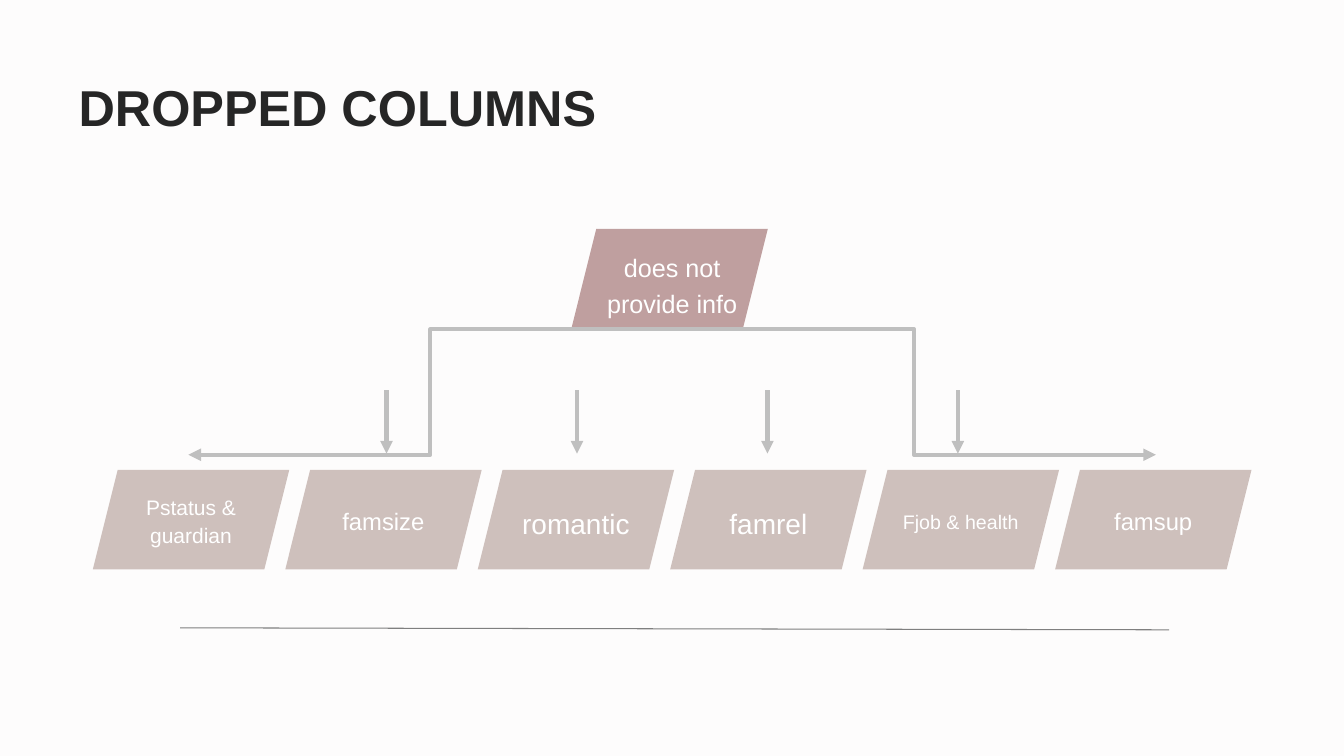
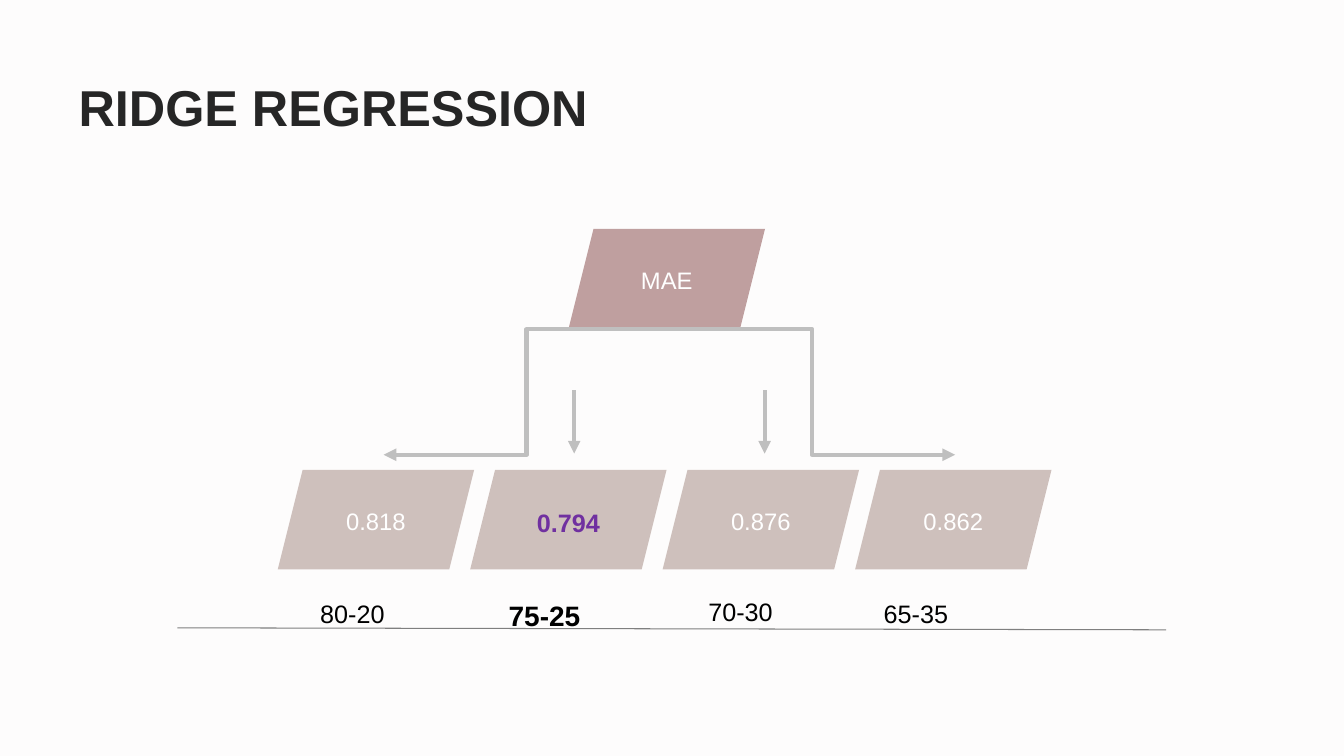
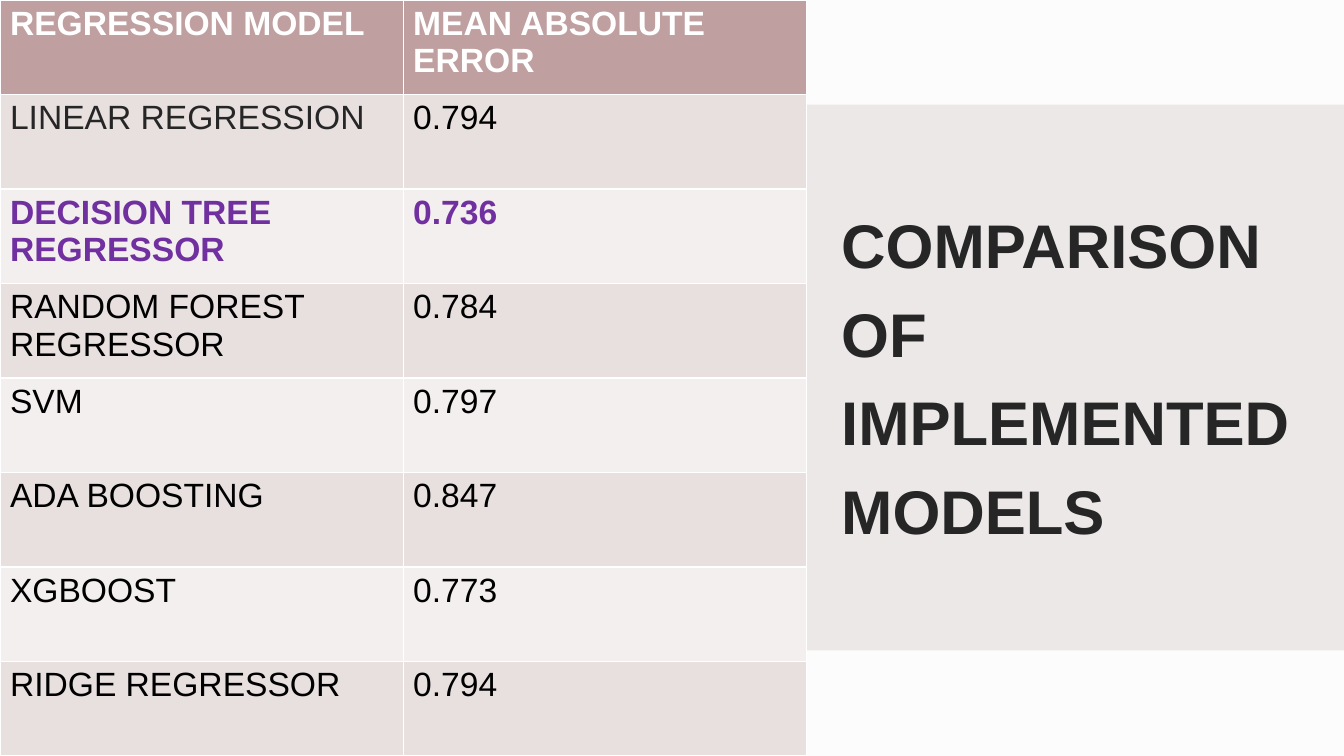
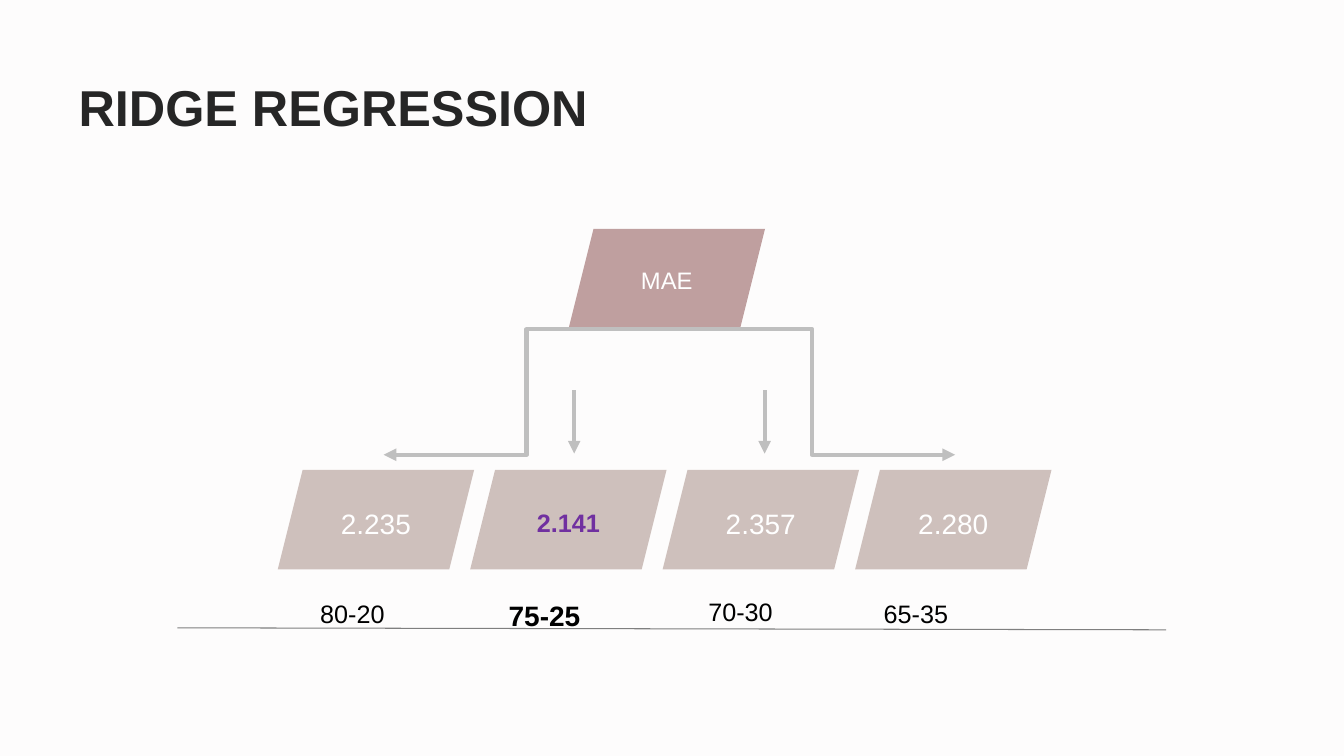
from lxml import etree
from pptx import Presentation
from pptx.dml.color import RGBColor
from pptx.enum import shapes, text
from pptx.oxml import ns
from pptx.util import Cm, Pt

rgb = RGBColor.from_string

BACKGROUND, DARK, BLACK, WHITE = "FDFCFC", "262626", "000000", "FFFFFF"
ROSE, CLAY, PANEL = "BF9F9F", "CEC0BC", "ECE8E8"
ROW_FILLS = "E8DFDF", "F4EFEF"
ARROW, RULE, BEST = "BFBFBF", "7F7F7F", "7030A0"

BOX_W, BOX_H, BOX_PITCH = 4.95, 2.51, 4.85
HUB_Y, BOX_Y = 5.77, 11.84
ARROW_PITCH = 4.8


def write(frame, words, size, color, bold=False, spacing=None, align=None):
    frame.word_wrap = True
    paragraph = frame.paragraphs[0]
    paragraph.alignment = align
    paragraph.line_spacing = spacing
    run = paragraph.add_run()
    run.text = words
    run.font.name = "Arial"
    run.font.size = Pt(size)
    run.font.bold = bold
    run.font.color.rgb = rgb(color)


def connect(slide, kind, start, end, color, width, arrow=True):
    """Draw a shadowless connector between two points in centimetres."""
    link = slide.shapes.add_connector(kind, *map(Cm, start + end))
    link.line.color.rgb = rgb(color)
    link.line.width = Pt(width)
    properties = link.element.spPr
    if arrow:
        outline = properties.find(ns.qn("a:ln"))
        etree.SubElement(outline, ns.qn("a:tailEnd"), type="triangle")
    etree.SubElement(properties, ns.qn("a:effectLst"))


prs = Presentation()
prs.slide_width, prs.slide_height = Cm(33.87), Cm(19.05)
master_fill = prs.slide_master.background.fill
master_fill.solid()
master_fill.fore_color.rgb = rgb(BACKGROUND)
dropped, first_ridge, comparison, second_ridge = [
    prs.slides.add_slide(prs.slide_layouts[6]) for _ in range(4)]

# Tree diagrams: each box is words, size, line spacing, colour, bold
dropped_boxes = [
    ("Pstatus & guardian", 15, 1.1, WHITE, False),
    ("famsize", 17, 1.1, WHITE, False),
    ("romantic", 20, 1.2, WHITE, False),
    ("famrel", 20, 1.2, WHITE, False),
    ("Fjob & health", 14, 1.2, WHITE, False),
    ("famsup", 17, 1.1, WHITE, False),
]
first_errors = [
    ("0.818", 17, 1.1, WHITE, False),
    ("0.794", 18, 1.2, BEST, True),
    ("0.876", 17, 1.1, WHITE, False),
    ("0.862", 17, 1.1, WHITE, False),
]
second_errors = [
    ("2.235", 20, 1.2, WHITE, False),
    ("2.141", 18, 1.2, BEST, True),
    ("2.357", 20, 1.2, WHITE, False),
    ("2.280", 20, 1.2, WHITE, False),
]
info_hub = ("does not provide info", 18, 1.2, WHITE, False)
error_hub = ("MAE", 17, 1.1, WHITE, False)

# Slide, title, hub, hub centre, left of first box, reach of bent arrows, boxes
trees = [
    (dropped, "DROPPED COLUMNS", info_hub, 16.94, 2.34, 12.19, dropped_boxes),
    (first_ridge, "RIDGE REGRESSION", error_hub, 16.87, 7.0, 7.2, first_errors),
    (second_ridge, "RIDGE REGRESSION", error_hub, 16.87, 7.0, 7.2, second_errors),
]
for slide, heading, hub, middle, first_left, reach, boxes in trees:
    title = slide.shapes.add_textbox(Cm(1.7), Cm(1.7), Cm(30.48), Cm(1.96)).text_frame
    title.margin_left, title.margin_right = Cm(0.28), Cm(0.2)
    title.margin_top = title.margin_bottom = Cm(0.1)
    title.vertical_anchor = text.MSO_ANCHOR.MIDDLE
    write(title, heading, 36, DARK, bold=True)

    connect(slide, shapes.MSO_CONNECTOR.STRAIGHT, (middle - 12.4, 15.82),
            (middle + 12.52, 15.87), RULE, 0.75, arrow=False)

    nodes = [(middle - 2.54, HUB_Y, ROSE, hub)]
    nodes += [(first_left + i * BOX_PITCH, BOX_Y, CLAY, box)
              for i, box in enumerate(boxes)]
    for left, top, fill, (words, size, spacing, color, bold) in nodes:
        node = slide.shapes.add_shape(shapes.MSO_SHAPE.PARALLELOGRAM, Cm(left),
                                      Cm(top), Cm(BOX_W), Cm(BOX_H))
        node.shadow.inherit = False
        node.fill.solid()
        node.fill.fore_color.rgb = rgb(fill)
        node.line.fill.background()
        frame = node.text_frame
        frame.margin_left = frame.margin_right = 0
        frame.margin_top = frame.margin_bottom = 0
        if hub is info_hub and top == HUB_Y:
            frame.margin_left, frame.margin_top = Cm(0.13), Cm(0.2)
        frame.vertical_anchor = text.MSO_ANCHOR.MIDDLE
        write(frame, words, size, color, bold, spacing, text.PP_ALIGN.CENTER)

    for end in (middle + reach, middle - reach):
        connect(slide, shapes.MSO_CONNECTOR.ELBOW, (middle, 8.3), (end, 11.46),
                ARROW, 3)
    inner = len(boxes) - 2
    for i in range(inner):
        x = middle + (i - (inner - 1) / 2) * ARROW_PITCH
        connect(slide, shapes.MSO_CONNECTOR.STRAIGHT, (x, 9.83), (x, 11.43),
                ARROW, 3)

# Train-test splits under the ridge trees
splits = [
    ("80-20", 7.82, 14.96, 2.24, 18, False),
    ("75-25", 12.57, 14.96, 2.92, 20, True),
    ("70-30", 17.6, 14.91, 2.57, 18, False),
    ("65-35", 22.02, 14.96, 3.25, 18, False),
]
for slide in (first_ridge, second_ridge):
    for words, left, top, width, size, bold in splits:
        split = slide.shapes.add_textbox(Cm(left), Cm(top), Cm(width), Cm(1))
        write(split.text_frame, words, size, BLACK, bold)

# Comparison of models
panel = comparison.shapes.add_shape(shapes.MSO_SHAPE.RECTANGLE, 0, Cm(2.64),
                                    prs.slide_width, Cm(13.75))
panel.shadow.inherit = False
panel.fill.solid()
panel.fill.fore_color.rgb = rgb(PANEL)
panel.line.fill.background()

heading = comparison.shapes.add_textbox(Cm(20.95), Cm(4.55), Cm(12.32), Cm(9.53)).text_frame
heading.vertical_anchor = text.MSO_ANCHOR.MIDDLE
write(heading, "COMPARISON OF IMPLEMENTED MODELS", 44, DARK, bold=True, spacing=1.2)

scores = [
    ("REGRESSION MODEL", "MEAN ABSOLUTE ERROR"),
    ("LINEAR REGRESSION", "0.794"),
    ("DECISION TREE REGRESSOR", "0.736"),
    ("RANDOM FOREST REGRESSOR", "0.784"),
    ("SVM", "0.797"),
    ("ADA BOOSTING", "0.847"),
    ("XGBOOST", "0.773"),
    ("RIDGE REGRESSOR", "0.794"),
]
score_table = comparison.shapes.add_table(len(scores), 2, 0, 0, Cm(20.32),
                                          prs.slide_height).table
for r, row in enumerate(scores):
    for c, words in enumerate(row):
        cell = score_table.cell(r, c)
        cell.fill.solid()
        cell.fill.fore_color.rgb = rgb(ROW_FILLS[(r - 1) % 2] if r else ROSE)
        color = {0: WHITE, 2: BEST}.get(r, BLACK)
        if words == "LINEAR REGRESSION":
            color = DARK
        write(cell.text_frame, words, 24, color, bold=r in (0, 2))

prs.save("out.pptx")
